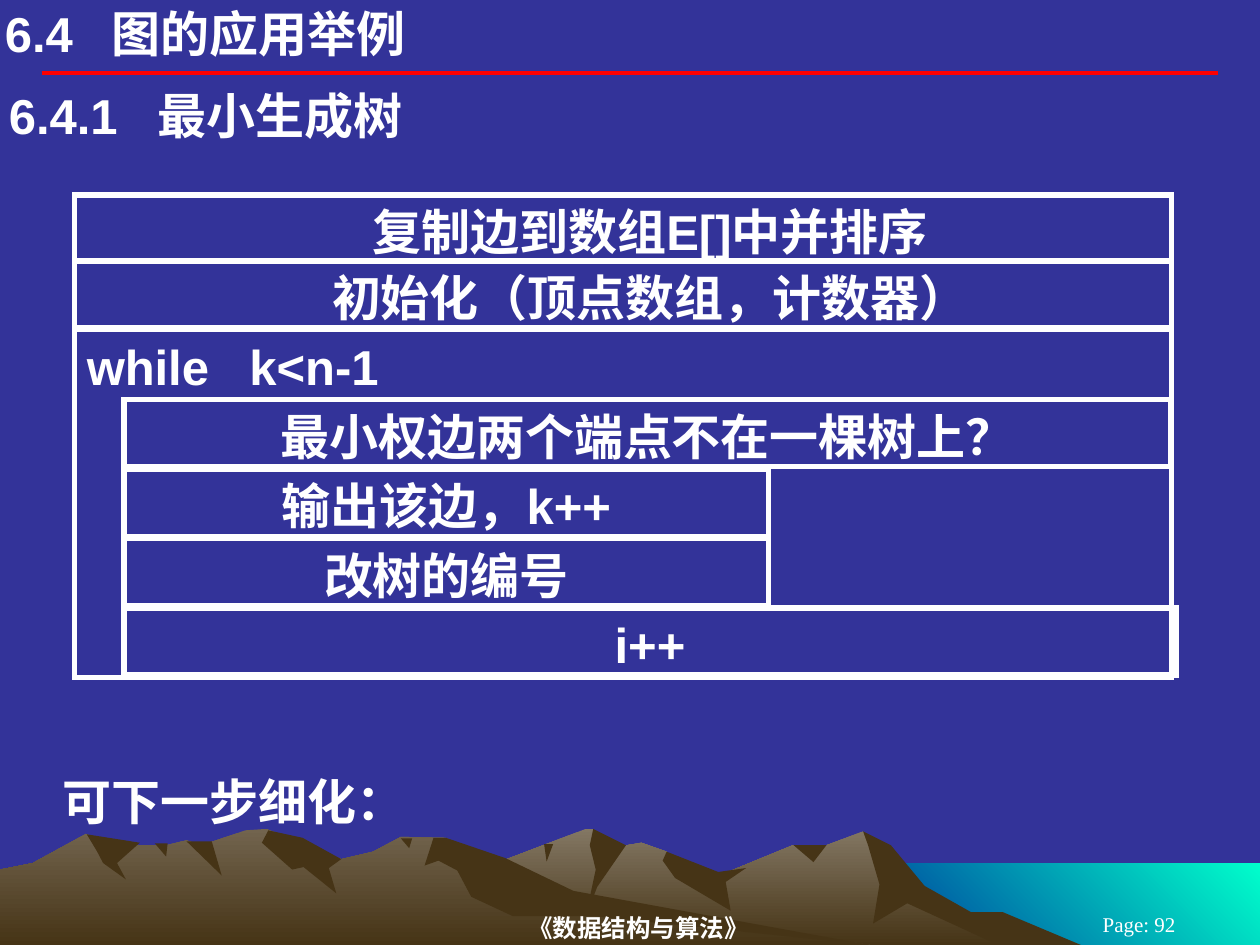
from dataclasses import dataclass

from lxml.etree import SubElement
from pptx import Presentation
from pptx.dml.color import RGBColor
from pptx.enum.shapes import MSO_CONNECTOR, MSO_SHAPE
from pptx.enum.text import MSO_ANCHOR, MSO_AUTO_SIZE, PP_ALIGN
from pptx.oxml.ns import qn
from pptx.util import Cm, Pt

# All lengths are centimetres.
WHITE, RED, NAVY, BROWN = "FFFFFF", "FF0000", "333399", "463416"
SEA_GREEN, SEA_BLUE = "00FFCC", "003399"
SLIDE_W, SLIDE_H = 25.4, 19.05

CHART_LEFT, CHART_TOP, CHART_W = 1.5, 3.93, 22.12
ROW_H, STEP_PITCH = 1.35, 1.33
LOOP_TOP, LOOP_H = 6.65, 7.01
BODY_LEFT, BODY_TOP, BODY_PITCH = 2.5, 8.06, 1.4
BODY_W, BRANCH_W, LAST_W = 21.11, 13, 21.21
PAD_X, PAD_Y, STEP_INDENT = 0.25, 0.13, 1.34

Points = list[tuple[float, float]]


@dataclass
class Shade:
    """Dark side of a peak, between its crest and the fold that meets the light."""
    crest: Points
    fold: Points


@dataclass
class Gully:
    """Dark triangle: a level upper edge and a tip below it."""
    left: float
    right: float
    top: float
    tip: tuple[float, float]


@dataclass
class Mountains:
    """Lit ridge on the lower slide edge, with the dark parts upon it."""
    light: str
    foot_left: float
    foot_right: float
    crest: Points
    shades: list[Shade]
    gullies: list[Gully]


@dataclass
class Block:
    text: str
    left: float
    top: float
    width: float
    height: float = ROW_H
    align: PP_ALIGN = PP_ALIGN.CENTER
    indent: float = PAD_X
    tab: float | None = None


FAR_MOUNTAINS = Mountains(
    "837763", 6.55, 20.85,
    crest=[(8.31, 18.01), (10.01, 17.4), (11.81, 16.71), (11.96, 16.71),
           (12.34, 17.09), (12.93, 16.99), (13.44, 17.17), (13.61, 17.53),
           (14.38, 17.7), (15.98, 17.04), (16.66, 17.04), (17.4, 16.76),
           (18.36, 17.73), (19.41, 18.36)],
    shades=[
        Shade([(17.4, 16.76), (17.96, 17.04), (18.64, 17.86), (19.58, 18.39),
               (20.22, 18.39), (21.79, SLIDE_H)],
              [(17.5, 17.04), (17.73, 17.83), (17.6, 18.62), (18.29, 18.21),
               (20.12, SLIDE_H)]),
        Shade([(11.96, 16.71), (12.62, 17.04), (12.04, 17.88), (11.81, 18.47)],
              [(11.89, 17.04), (12.01, 17.53)]),
        Shade([(13.44, 17.17), (14.48, 17.58), (15.04, 17.5), (14.63, 17.78),
               (14.73, 18.36)],
              [(13.36, 17.35), (13.61, 17.7)]),
    ],
    gullies=[Gully(16, 16.66, 17.04, (16.4, 17.38)),
             Gully(10.97, 11.15, 17.02, (11.02, 17.37))])

NEAR_MOUNTAINS = Mountains(
    "72644E", 0, 17.53,
    crest=[(0, 17.53), (0.66, 17.4), (1.73, 16.81), (2.39, 17.04), (3.35, 17.04),
           (3.76, 16.94), (4.06, 17.04), (4.95, 16.74), (5.38, 16.71),
           (6.88, 17.32), (7.52, 17.17), (8.08, 16.87), (8.99, 16.89),
           (10.97, 18.08)],
    shades=[
        Shade([(1.75, 16.82), (2.82, 16.99), (2.36, 17.4), (2.54, 17.73)],
              [(2.08, 17.4), (1.96, 17.17)][::-1]),
        Shade([(5.41, 16.74), (6.1, 16.89), (6.88, 17.32), (6.63, 17.5), (6.78, 18.01)],
              [(5.28, 16.99), (5.89, 17.53), (6.12, 17.48)]),
        Shade([(8.74, 16.89), (8.99, 16.89), (10.19, 17.3), (11.56, 17.96),
               (17.53, SLIDE_H)],
              [(8.56, 17.45), (8.84, 17.35), (9.22, 17.55), (9.5, 18.08),
               (10.34, 18.47), (11.99, 18.47)]),
    ],
    gullies=[Gully(3.76, 4.27, 16.96, (4.47, 17.65)),
             Gully(3.12, 3.38, 17, (3.35, 17.27)),
             Gully(8.08, 8.31, 16.9, (8.25, 17.1))])

STEPS = ["复制边到数组E[]中并排序", "初始化（顶点数组，计数器）"]
LOOP_BODY = [("最小权边两个端点不在一棵树上？", BODY_W), ("输出该边，k++", BRANCH_W),
             ("改树的编号", BRANCH_W), ("i++", LAST_W)]

BLOCKS = [
    *(Block(text, CHART_LEFT, CHART_TOP + i * STEP_PITCH, CHART_W, indent=STEP_INDENT)
      for i, text in enumerate(STEPS)),
    Block("while\tk<n-1", CHART_LEFT, LOOP_TOP, CHART_W, LOOP_H, PP_ALIGN.LEFT, tab=3.28),
    *(Block(text, BODY_LEFT, BODY_TOP + i * BODY_PITCH, width)
      for i, (text, width) in enumerate(LOOP_BODY)),
]


def rgb(color: str) -> RGBColor:
    return RGBColor.from_string(color)


def paint(sp, *colors: str, angle: int = 90) -> None:
    """Fill without outline; two colours make a gradient at a clockwise angle."""
    sp.shadow.inherit = False
    sp.line.fill.background()
    if len(colors) == 1:
        sp.fill.solid()
        sp.fill.fore_color.rgb = rgb(colors[0])
        return
    sp.fill.gradient()
    sp.fill.gradient_angle = 360 - angle
    for stop, color in zip(sp.fill.gradient_stops, colors):
        stop.color.rgb = rgb(color)


def add_polygon(s, points: Points, *colors: str) -> None:
    start, *rest = [(Cm(x), Cm(y)) for x, y in points]
    builder = s.shapes.build_freeform(*start)
    builder.add_line_segments(rest, close=True)
    paint(builder.convert_to_shape(), *colors)


def add_mountains(s, m: Mountains) -> None:
    feet = [(m.foot_right, SLIDE_H), (m.foot_left, SLIDE_H)]
    add_polygon(s, m.crest + feet, m.light, BROWN)
    for shade in m.shades:
        add_polygon(s, shade.crest + shade.fold[::-1], BROWN)
    for g in m.gullies:
        add_polygon(s, [(g.left, g.top), (g.right, g.top), g.tip], BROWN)


def write(sp, text: str, *, size=28, font="Arial", bold=True, color=WHITE,
          align=PP_ALIGN.LEFT, anchor=MSO_ANCHOR.TOP, insets=(0, 0, 0, 0),
          tab=None, grow=False) -> None:
    """Fill a shape with one formatted paragraph; insets are left, top, right, bottom."""
    tf = sp.text_frame
    tf.word_wrap = True
    tf.auto_size = MSO_AUTO_SIZE.SHAPE_TO_FIT_TEXT if grow else MSO_AUTO_SIZE.NONE
    tf.vertical_anchor = anchor
    tf.margin_left, tf.margin_top, tf.margin_right, tf.margin_bottom = map(Cm, insets)
    p = tf.paragraphs[0]
    p.alignment = align
    if tab is not None:
        tabs = SubElement(p._p.get_or_add_pPr(), qn("a:tabLst"))
        SubElement(tabs, qn("a:tab"), pos=str(Cm(tab)), algn="l")
    r = p.add_run()
    r.text = text
    r.font.size, r.font.name, r.font.bold = Pt(size), font, bold
    r.font.color.rgb = rgb(color)


def add_text(s, box: tuple[float, ...], text: str, **fmt) -> None:
    write(s.shapes.add_textbox(*map(Cm, box)), text, **fmt)


def add_block(s, b: Block) -> None:
    sp = s.shapes.add_shape(MSO_SHAPE.RECTANGLE, *map(Cm, (b.left, b.top, b.width, b.height)))
    sp.shadow.inherit = False
    sp.fill.background()
    sp.line.color.rgb = rgb(WHITE)
    sp.line.width = Pt(3)
    SubElement(sp.line._get_or_add_ln(), qn("a:miter"), lim="800000")
    write(sp, b.text, align=b.align, tab=b.tab, insets=(b.indent, PAD_Y, PAD_X, PAD_Y))


def add_rule(s, left: float, right: float, y: float) -> None:
    rule = s.shapes.add_connector(MSO_CONNECTOR.STRAIGHT, Cm(left), Cm(y), Cm(right), Cm(y))
    rule.line.color.rgb = rgb(RED)
    rule.line.width = Pt(2.25)
    SubElement(rule._element.spPr, qn("a:effectLst"))


def add_backdrop(s) -> None:
    s.background.fill.solid()
    s.background.fill.fore_color.rgb = rgb(NAVY)
    sea = s.shapes.add_shape(MSO_SHAPE.RECTANGLE, *map(Cm, (17.35, 17.4, 8.05, 1.65)))
    paint(sea, SEA_GREEN, SEA_BLUE, angle=135)
    add_mountains(s, FAR_MOUNTAINS)
    add_mountains(s, NEAR_MOUNTAINS)
    add_rule(s, 0.84, 24.56, 1.47)
    footer = dict(font="Times New Roman", align=PP_ALIGN.CENTER, anchor=MSO_ANCHOR.MIDDLE)
    add_text(s, (5.28, 18.34, 15.39, 0.71), "《数据结构与算法》", size=14,
             insets=(0, 0.03, 0.2, 0.03), **footer)
    add_text(s, (20.96, 18.42, 4.01, 0.43), "Page: 92", size=12, bold=False,
             insets=(PAD_X, PAD_Y, PAD_X, PAD_Y), **footer)


def main() -> None:
    prs = Presentation()
    prs.slide_width, prs.slide_height = Cm(SLIDE_W), Cm(SLIDE_H)
    s = prs.slides.add_slide(prs.slide_layouts[5])
    add_backdrop(s)
    title = s.shapes.title
    title.left, title.top, title.width, title.height = map(Cm, (0.1, 0.08, 16.51, 1.19))
    write(title, "6.4\t图的应用举例", tab=2.15, grow=True)
    add_text(s, (0.18, 1.73, 16.51, 1.19), "6.4.1\t最小生成树", tab=3, grow=True)
    for block in BLOCKS:
        add_block(s, block)
    add_text(s, (0.1, 15.52, SLIDE_W, 1.24), "可下一步细化：", grow=True,
             insets=(1.17, 0.03, 0.05, 0.03))
    prs.save("out.pptx")


if __name__ == "__main__":
    main()
